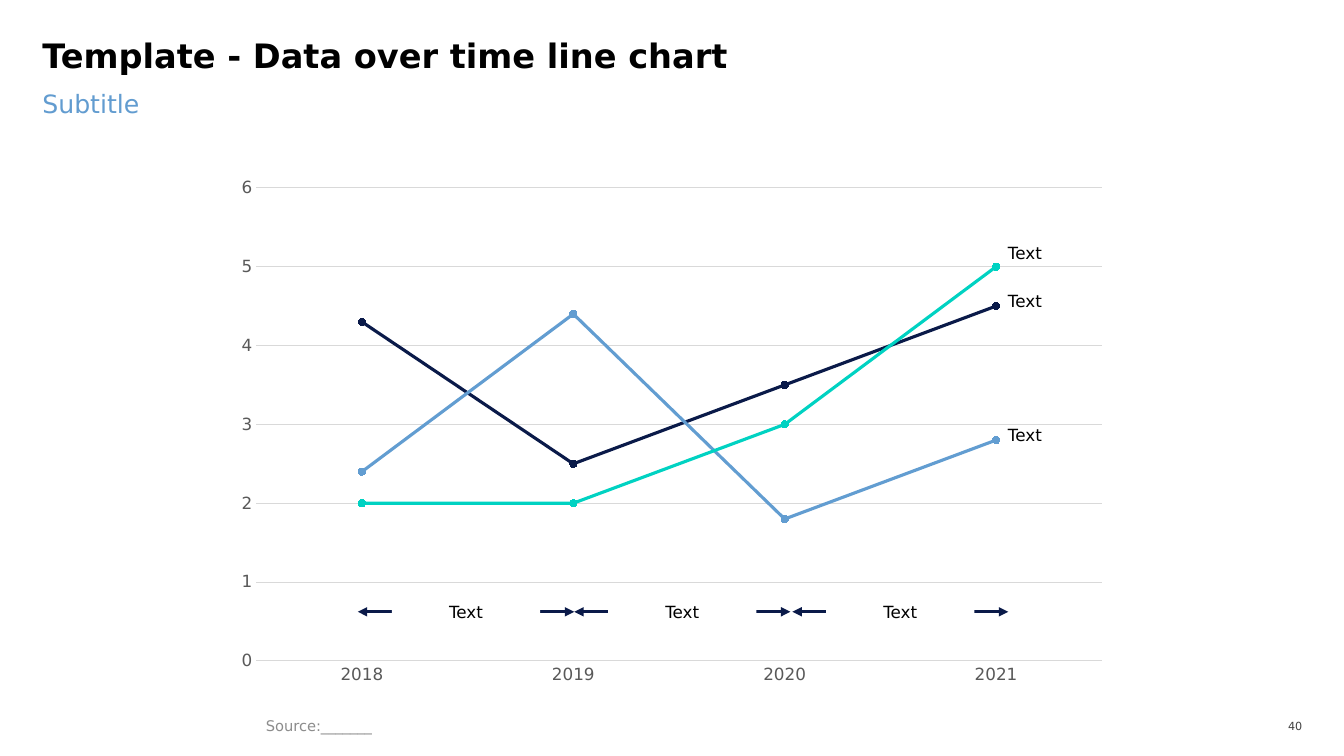
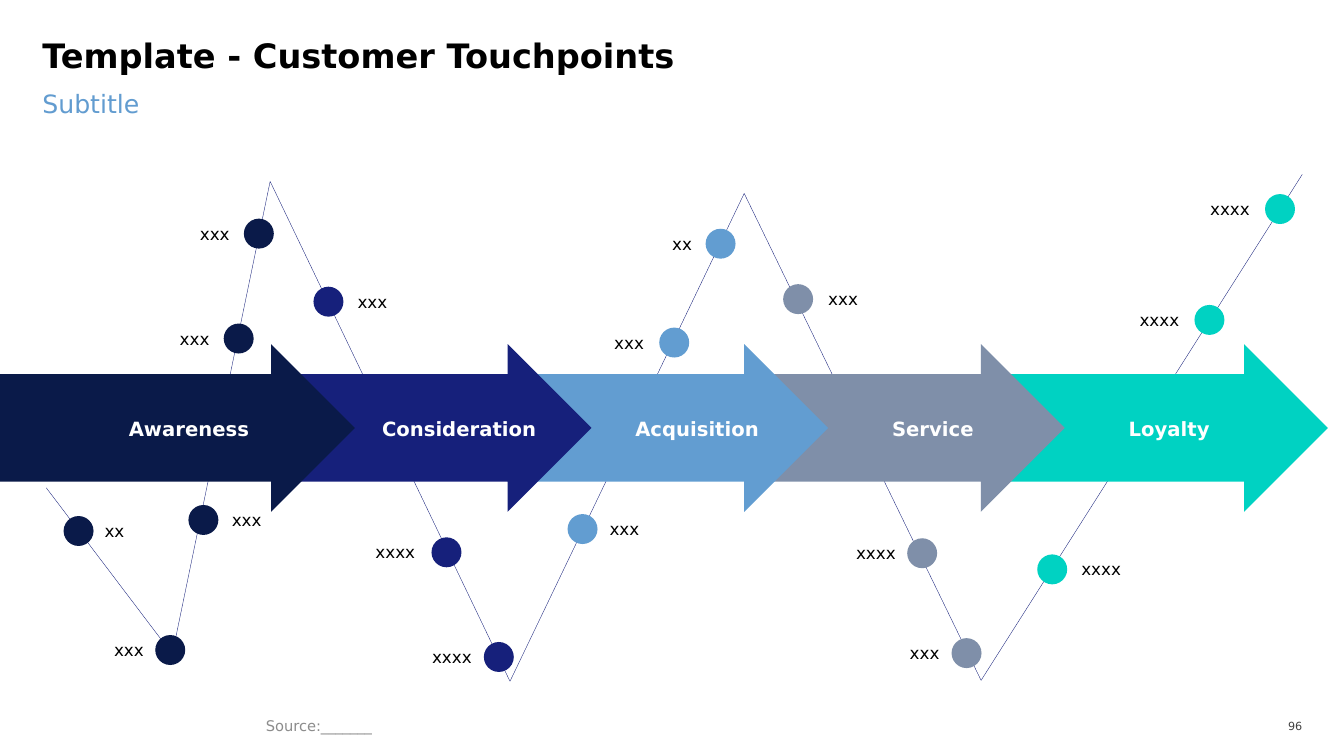
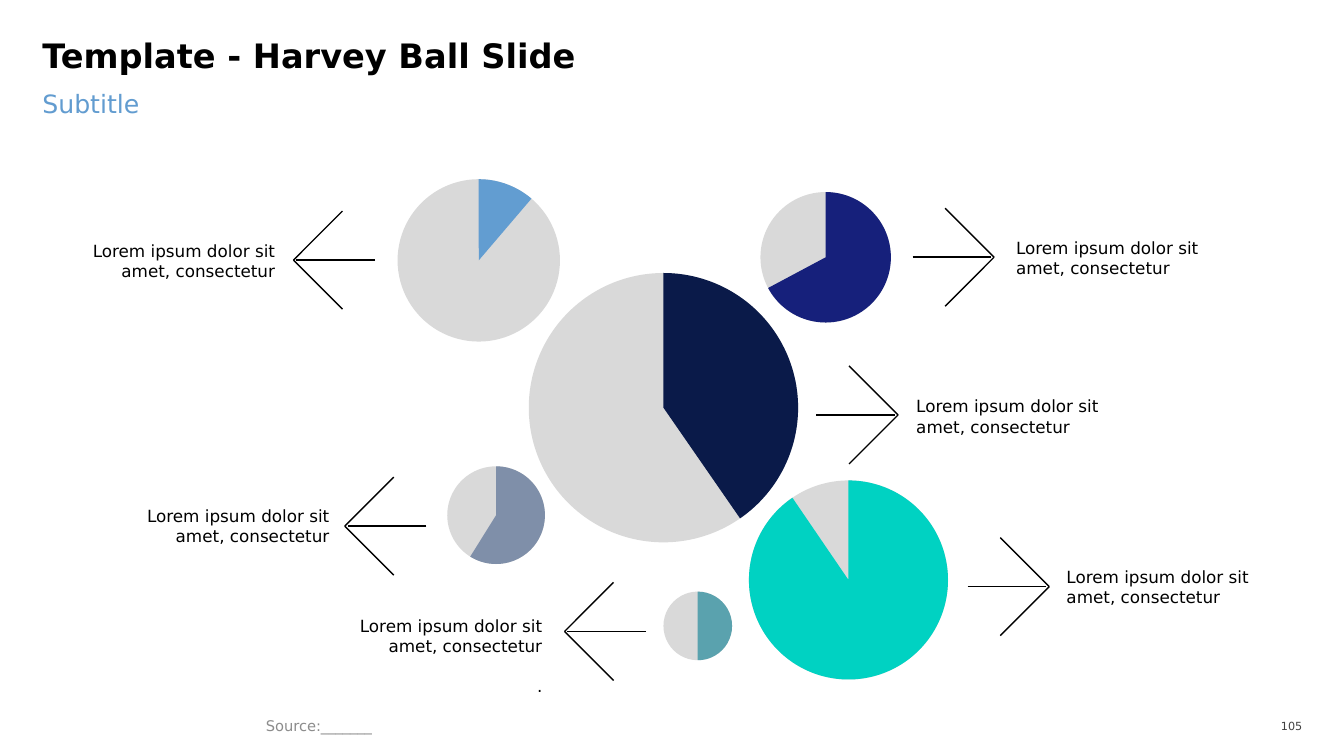
from dataclasses import dataclass

from lxml import etree
from pptx import Presentation
from pptx.chart.data import CategoryChartData
from pptx.dml.color import RGBColor
from pptx.enum.chart import XL_CHART_TYPE, XL_MARKER_STYLE, XL_TICK_MARK
from pptx.enum.shapes import MSO_CONNECTOR, MSO_SHAPE
from pptx.enum.text import MSO_ANCHOR, PP_ALIGN
from pptx.oxml.ns import qn
from pptx.util import Pt

LEFT, CENTER, RIGHT = PP_ALIGN.LEFT, PP_ALIGN.CENTER, PP_ALIGN.RIGHT
TOP, MIDDLE = MSO_ANCHOR.TOP, MSO_ANCHOR.MIDDLE
STRAIGHT = MSO_CONNECTOR.STRAIGHT
RECTANGLE, ELLIPSE = MSO_SHAPE.RECTANGLE, MSO_SHAPE.OVAL
PIE, RIGHT_ARROW = MSO_SHAPE.PIE, MSO_SHAPE.RIGHT_ARROW
LINE_MARKERS = XL_CHART_TYPE.LINE_MARKERS
CIRCLE = XL_MARKER_STYLE.CIRCLE
NO_TICK = XL_TICK_MARK.NONE

FONT = "DejaVu Sans"
BLACK, WHITE = "000000", "FFFFFF"
NAVY, INDIGO, BLUE, SLATE, TURQUOISE, TEAL = (
    "0A1A49", "16207B", "629DD1", "7F8FA9", "00D2C2", "5AA2AE")
SUBTITLE_BLUE, SOURCE_GREY, NUMBER_GREY = "629CD0", "8C8C8C", "404040"
AXIS_GREY, PALE_GREY = "595959", "D9D9D9"

SLIDE_WIDTH, SLIDE_HEIGHT = 960, 540
MARGIN, CONTENT_WIDTH = 30.24, 899.3
DOT_SIZE = 21.4
LABEL_HEIGHT = 18
PERIOD_WIDTH, PERIOD_HEIGHT = 105.8, 14.4
ARROW_ARM, SHAFT_START, SHAFT_END = 35, 58.3, 2
CALLOUT_WIDTH, CALLOUT_HEIGHT = 165.6, 44
LOREM = "Lorem ipsum dolor sit amet, consectetur"


@dataclass(frozen=True)
class TextStyle:
    size: float = 12
    color: str = BLACK
    bold: bool = False
    align: PP_ALIGN = LEFT
    anchor: MSO_ANCHOR = MIDDLE
    inset_x: float = 0
    inset_y: float = 0
    wrap: bool = True


@dataclass(frozen=True)
class Stage:
    name: str
    left: float
    width: float
    label_center: float
    color: str


@dataclass(frozen=True)
class Touchpoint:
    left: float
    top: float
    color: str
    label: str
    align: PP_ALIGN
    gap: float


@dataclass(frozen=True)
class HarveyBall:
    left: float
    top: float
    size: float
    sweep: float
    color: str


@dataclass(frozen=True)
class Callout:
    tip_x: float
    tip_y: float
    direction: int
    gap: float
    text_top: float
    texts: tuple = (LOREM,)


TITLE = TextStyle(24, bold=True, anchor=TOP)
SUBTITLE = TextStyle(18, SUBTITLE_BLUE, anchor=TOP)
SOURCE = TextStyle(10.5, SOURCE_GREY, inset_x=7.2, inset_y=3.6)
PAGE_NUMBER = TextStyle(8, NUMBER_GREY, align=RIGHT)
SERIES_LABEL = TextStyle()
PERIOD_LABEL = TextStyle(align=CENTER)
STAGE_LABEL = TextStyle(14, WHITE, True, CENTER, wrap=False)

SERIES = (
    ("Series 1", (4.3, 2.5, 3.5, 4.5), NAVY),
    ("Series 2", (2.4, 4.4, 1.8, 2.8), BLUE),
    ("Series 3", (2, 2, 3, 5), TURQUOISE),
)
SERIES_LABEL_TOPS = (173.5, 207.4, 303.1)
PERIODS = ((255.6, 410.2), (410.2, 564.6), (566, 720.2))
PERIOD_Y = 437

STAGES = (
    Stage("Awareness", 0, 253.5, 135, NAVY),
    Stage("Consideration", 199.5, 223, 328, INDIGO),
    Stage("Acquisition", 368.5, 223, 498, BLUE),
    Stage("Service", 537.5, 223, 666.4, SLATE),
    Stage("Loyalty", 706.5, 242, 835.2, TURQUOISE),
)
JOURNEY = (
    (33.1, 348.5), (123.1, 467.3), (193, 129.6), (364.3, 486.7),
    (531.6, 138.2), (700.8, 486), (930.2, 124.6),
)
TOUCHPOINTS = (
    Touchpoint(159.8, 231.1, NAVY, "xxx", RIGHT, 6.5),
    Touchpoint(174.2, 156.2, NAVY, "xxx", RIGHT, 6.5),
    Touchpoint(223.9, 204.8, INDIGO, "xxx", LEFT, 6.5),
    Touchpoint(470.9, 234, BLUE, "xxx", RIGHT, 7.2),
    Touchpoint(504, 163.4, BLUE, "xx", RIGHT, 6),
    Touchpoint(559.4, 203, SLATE, "xxx", LEFT, 7.2),
    Touchpoint(853.2, 217.8, TURQUOISE, "xxxx", RIGHT, 7.2),
    Touchpoint(903.6, 138.6, TURQUOISE, "xxxx", RIGHT, 7.2),
    Touchpoint(45.4, 368.6, NAVY, "xx", LEFT, 4.3),
    Touchpoint(110.9, 453.6, NAVY, "xxx", RIGHT, 4.5),
    Touchpoint(134.6, 360.7, NAVY, "xxx", LEFT, 6),
    Touchpoint(308.2, 383.8, INDIGO, "xxxx", RIGHT, 8),
    Touchpoint(345.6, 458.6, INDIGO, "xxxx", RIGHT, 5),
    Touchpoint(405.4, 367.2, BLUE, "xxx", LEFT, 5),
    Touchpoint(648, 384.5, SLATE, "xxxx", RIGHT, 4.5),
    Touchpoint(740.9, 396, TURQUOISE, "xxxx", LEFT, 6.5),
    Touchpoint(679.7, 455.8, SLATE, "xxx", RIGHT, 5),
)

BALLS = (
    HarveyBall(377.7, 195, 192.4, 145.3, NAVY),
    HarveyBall(535, 343.2, 142.2, 325.7, TURQUOISE),
    HarveyBall(284, 128, 116, 40.5, BLUE),
    HarveyBall(543.2, 137.2, 93.2, 241.9, INDIGO),
    HarveyBall(319.5, 333.1, 69.8, 211.9, SLATE),
    HarveyBall(473.9, 422.6, 49, 180, TEAL),
)
CALLOUTS = (
    Callout(641.5, 296.4, 1, 13, 283),
    Callout(710.1, 183.7, 1, 15.7, 169.9),
    Callout(749.5, 419, 1, 12.3, 404.6),
    Callout(403.3, 451, -1, 15.9, 439.9, (LOREM, ".")),
    Callout(246.3, 375.8, -1, 10.9, 361.4),
    Callout(209.6, 185.8, -1, 13, 172.1),
)


def rgb(color: str) -> RGBColor:
    return RGBColor.from_string(color)


def write(shape, text: str, style: TextStyle) -> list:
    frame = shape.text_frame
    frame.word_wrap = style.wrap
    frame.vertical_anchor = style.anchor
    frame.margin_left = frame.margin_right = Pt(style.inset_x)
    frame.margin_top = frame.margin_bottom = Pt(style.inset_y)
    frame.text = text
    for para in frame.paragraphs:
        para.alignment = style.align
        font = para.font
        font.name, font.size, font.bold = FONT, Pt(style.size), style.bold
        font.color.rgb = rgb(style.color)
    return list(frame.paragraphs)


def add_text(page, left: float, top: float, width: float, height: float,
             text: str, style: TextStyle) -> list:
    box = page.shapes.add_textbox(Pt(left), Pt(top), Pt(width), Pt(height))
    return write(box, text, style)


def add_block(page, kind: MSO_SHAPE, left: float, top: float,
              width: float, height: float, color: str):
    block = page.shapes.add_shape(kind, Pt(left), Pt(top), Pt(width), Pt(height))
    block.shadow.inherit = False
    block.fill.solid()
    block.fill.fore_color.rgb = rgb(color)
    block.line.fill.background()
    return block


def add_line(shapes, start: tuple, end: tuple, color: str, width: float,
             arrowheads: bool = False) -> None:
    line = shapes.add_connector(STRAIGHT, *(Pt(value) for value in start + end))
    line.line.color.rgb = rgb(color)
    line.line.width = Pt(width)
    properties = line._element.spPr
    if arrowheads:
        outline = properties.find(qn("a:ln"))
        for tag in ("a:headEnd", "a:tailEnd"):
            etree.SubElement(outline, qn(tag), type="triangle")
    etree.SubElement(properties, qn("a:effectLst"))


def add_page(deck, title: str, number: int):
    page = deck.slides.add_slide(deck.slide_layouts[6])
    heading = add_text(page, MARGIN, 30.24, CONTENT_WIDTH, 38.2, title, TITLE)
    heading[0].line_spacing = 0.8
    add_text(page, MARGIN, 63.4, CONTENT_WIDTH, 45.4, "Subtitle", SUBTITLE)
    add_text(page, 182.9, 509, 460, 18.7, "Source:_______", SOURCE)
    numbering = add_text(page, 900, 510.5, 30.24, 16.6, str(number), PAGE_NUMBER)
    numbering[0].space_after = Pt(12)
    return page


def add_line_chart(page) -> None:
    data = CategoryChartData()
    data.categories = ("2018", "2019", "2020", "2021")
    for name, values, _ in SERIES:
        data.add_series(name, values)
    chart = page.shapes.add_chart(
        LINE_MARKERS, Pt(159.8), Pt(119.5), Pt(640), Pt(377.3), data).chart
    chart.has_legend = chart.has_title = False
    chart.font.name, chart.font.size = FONT, Pt(10)
    chart.font.color.rgb = rgb(BLACK)
    for axis in (chart.category_axis, chart.value_axis):
        axis.major_tick_mark = axis.minor_tick_mark = NO_TICK
        font = axis.tick_labels.font
        font.name, font.size = FONT, Pt(12)
        font.color.rgb = rgb(AXIS_GREY)
    scale = chart.value_axis
    scale.minimum_scale, scale.maximum_scale, scale.major_unit = 0, 6, 1
    scale.format.line.fill.background()
    scale.has_major_gridlines = True
    for line in (chart.category_axis.format.line, scale.major_gridlines.format.line):
        line.color.rgb = rgb(PALE_GREY)
        line.width = Pt(0.75)
    plot = chart.plots[0]
    plot.vary_by_categories = False
    for series, (_, _, color) in zip(plot.series, SERIES):
        series.smooth = False
        series.format.line.color.rgb = rgb(color)
        series.format.line.width = Pt(2.25)
        marker = series.marker
        marker.style, marker.size = CIRCLE, 5
        marker.format.fill.solid()
        marker.format.fill.fore_color.rgb = rgb(color)
        marker.format.line.color.rgb = rgb(color)


def build_chart_page(deck) -> None:
    page = add_page(deck, "Template - Data over time line chart", 40)
    add_line_chart(page)
    for top in SERIES_LABEL_TOPS:
        add_text(page, 720, top, PERIOD_WIDTH, PERIOD_HEIGHT, "Text", SERIES_LABEL)
    for start, end in PERIODS:
        add_line(page.shapes, (start, PERIOD_Y), (end, PERIOD_Y), NAVY, 2.25, True)
        label = add_block(page, RECTANGLE, (start + end - PERIOD_WIDTH) / 2,
                          PERIOD_Y - PERIOD_HEIGHT / 2,
                          PERIOD_WIDTH, PERIOD_HEIGHT, WHITE)
        write(label, "Text", PERIOD_LABEL)


def add_journey(page) -> None:
    points = [(Pt(x), Pt(y)) for x, y in JOURNEY]
    builder = page.shapes.build_freeform(*points[0])
    builder.add_line_segments(points[1:], close=False)
    journey = builder.convert_to_shape()
    journey.shadow.inherit = False
    journey.fill.background()
    journey.line.color.rgb = rgb(INDIGO)
    journey.line.width = Pt(0.25)


def add_touchpoint(page, point: Touchpoint) -> None:
    add_block(page, ELLIPSE, point.left, point.top, DOT_SIZE, DOT_SIZE, point.color)
    width = 7.2 * (len(point.label) + 1)
    left = (point.left - point.gap - width if point.align == RIGHT
            else point.left + DOT_SIZE + point.gap)
    style = TextStyle(align=point.align, inset_x=3.6, inset_y=1.8, wrap=False)
    add_text(page, left, point.top + 1.6, width, LABEL_HEIGHT, point.label, style)


def build_touchpoint_page(deck) -> None:
    page = add_page(deck, "Template - Customer Touchpoints", 96)
    add_journey(page)
    for stage in reversed(STAGES):
        arrow = add_block(page, RIGHT_ARROW, stage.left, 245.8, stage.width, 119.8,
                          stage.color)
        arrow.adjustments[0], arrow.adjustments[1] = 0.64, 0.5
    for stage in STAGES:
        add_text(page, stage.label_center - 62, 293.8, 124, 24.5, stage.name,
                 STAGE_LABEL)
    for point in TOUCHPOINTS:
        add_touchpoint(page, point)


def add_harvey_ball(page, ball: HarveyBall) -> None:
    place = (ball.left, ball.top, ball.size, ball.size)
    add_block(page, ELLIPSE, *place, PALE_GREY)
    wedge = add_block(page, PIE, *place, ball.color)
    for index, angle in enumerate((270, (270 + ball.sweep) % 360)):
        wedge.adjustments[index] = angle * 0.6


def add_callout(page, callout: Callout) -> None:
    x, y, direction = callout.tip_x, callout.tip_y, callout.direction
    arrow = page.shapes.add_group_shape().shapes
    for arm in (-ARROW_ARM, ARROW_ARM):
        add_line(arrow, (x - direction * ARROW_ARM, y + arm), (x, y), BLACK, 1)
    add_line(arrow, (x - direction * SHAFT_START, y),
             (x - direction * SHAFT_END, y), BLACK, 1)
    left = x + callout.gap if direction > 0 else x - callout.gap - CALLOUT_WIDTH
    style = TextStyle(align=LEFT if direction > 0 else RIGHT, anchor=TOP)
    paras = add_text(page, left, callout.text_top, CALLOUT_WIDTH, CALLOUT_HEIGHT,
                     "\n".join(callout.texts), style)
    for para in paras[1:]:
        para.space_before = Pt(14)


def build_harvey_page(deck) -> None:
    page = add_page(deck, "Template - Harvey Ball Slide", 105)
    for ball in BALLS:
        add_harvey_ball(page, ball)
    for callout in CALLOUTS:
        add_callout(page, callout)


def main() -> None:
    deck = Presentation()
    deck.slide_width, deck.slide_height = Pt(SLIDE_WIDTH), Pt(SLIDE_HEIGHT)
    build_chart_page(deck)
    build_touchpoint_page(deck)
    build_harvey_page(deck)
    deck.save("out.pptx")


if __name__ == "__main__":
    main()
